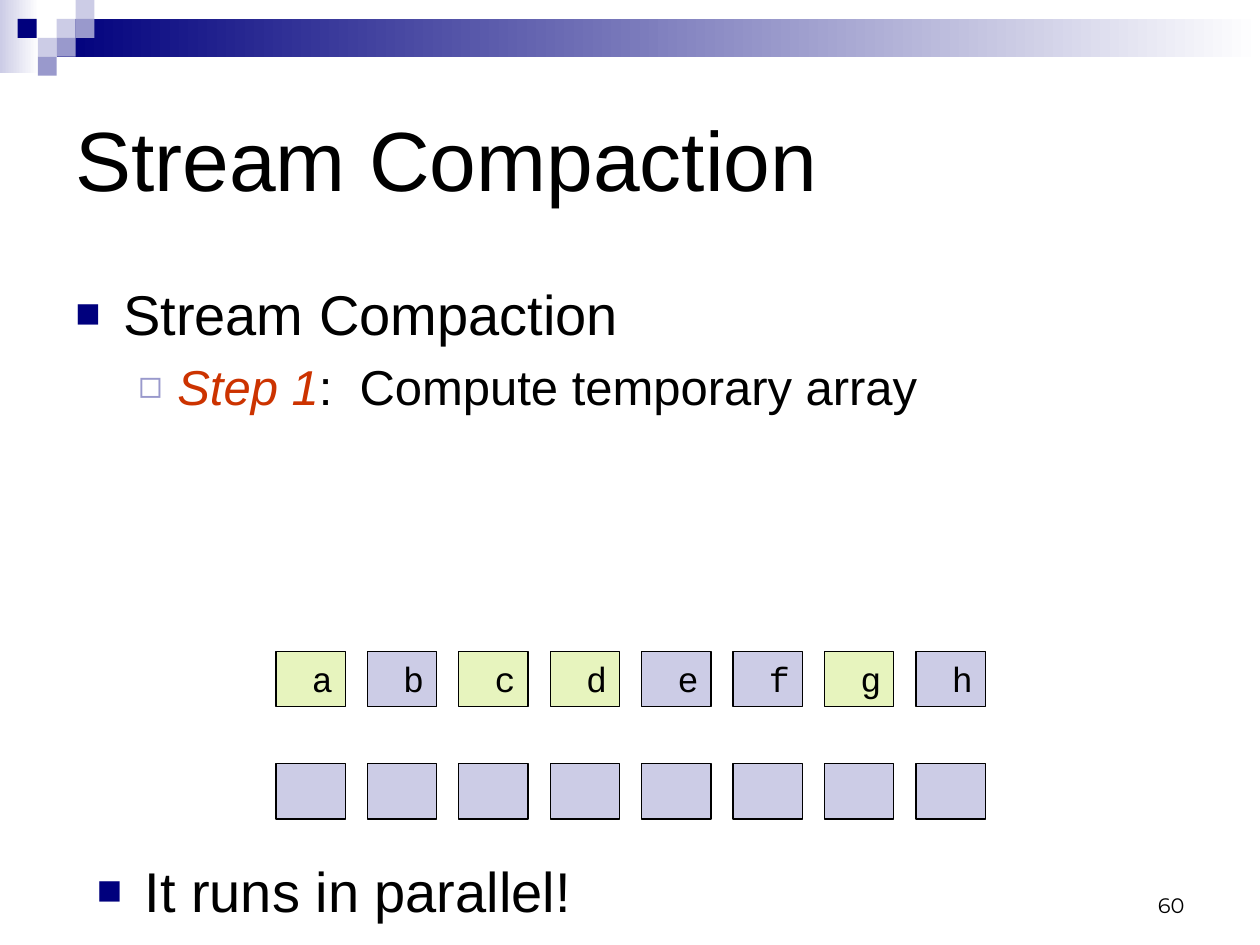
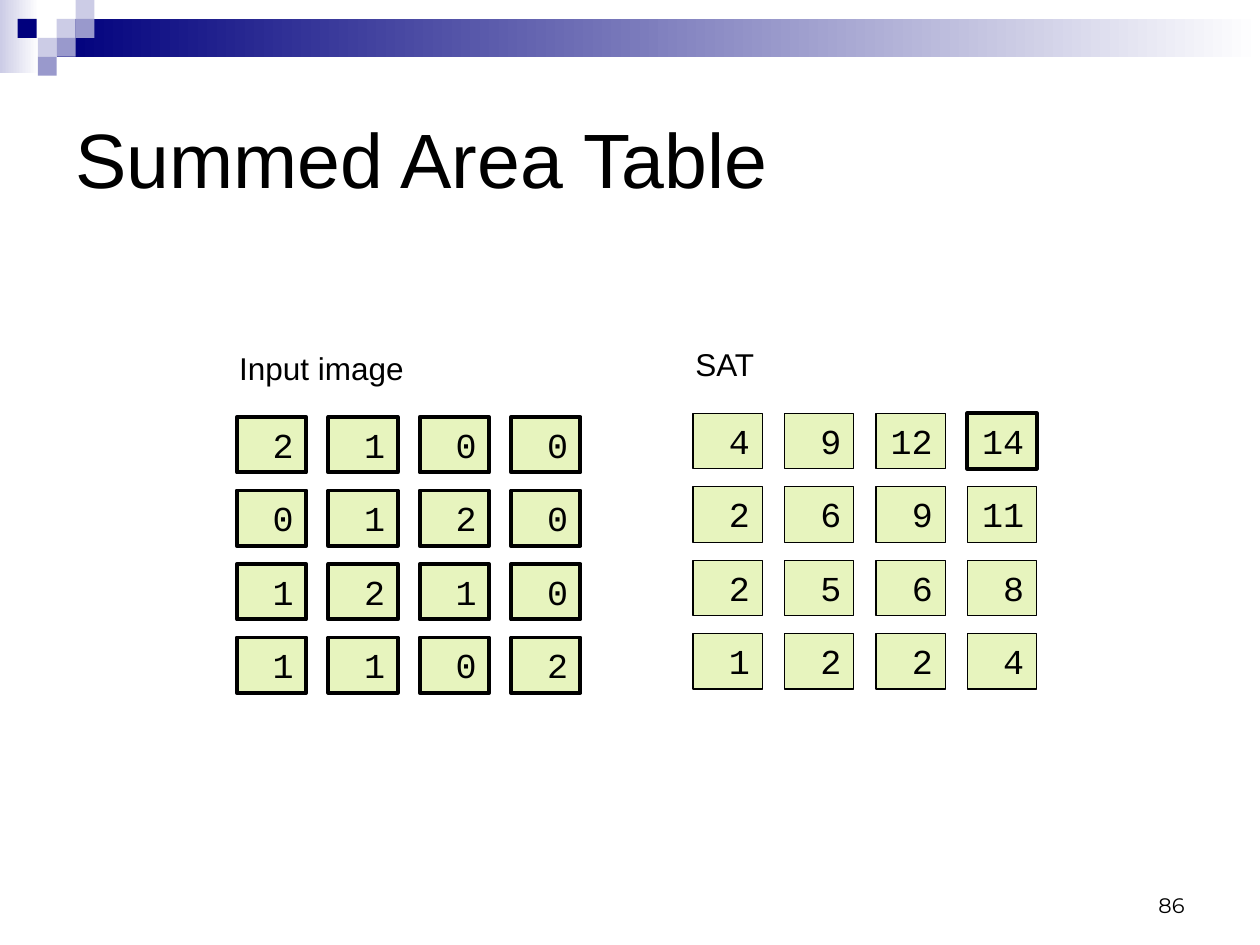
from lxml import etree
from pptx import Presentation
from pptx import util as u
from pptx.dml.color import RGBColor
from pptx.enum import shapes, text
from pptx.oxml.ns import qn

BLACK, WHITE, NAVY = "000000", "FFFFFF", "00007D"
LAVENDER, PERIWINKLE = "CCCCE6", "9999CC"
LIME, RED = "E7F4BE", "CC3300"
BODY_FONT, CODE_FONT, NUMBER_FONT = "Arial", "Courier New", "Montserrat"

CELL_WIDTH, CELL_HEIGHT = 0.55, 0.44
COLUMN_PITCH, ROW_PITCH = 5.08 / 7, 1.75 / 3
THIN, THICK = 0.75, 2.25

# Corner mosaic: left, top, colour
TILE = 0.15
MOSAIC = [
    (0.45, 0.15, LAVENDER), (0.6, 0, LAVENDER), (0.6, 0.15, PERIWINKLE),
    (0.3, 0.3, LAVENDER), (0.14, 0.15, NAVY), (0.45, 0.3, PERIWINKLE),
    (0.3, 0.45, PERIWINKLE),
]

# Bullet levels: mark, colour, size %, left indent, hanging, text size
BULLETS = [("■", NAVY, 75, 0.38, 0.38, 32), ("◻", PERIWINKLE, 80, 0.81, 0.31, 28)]


def rgb(hex_color):
    return RGBColor.from_string(hex_color)


class Deck:
    def __init__(self):
        self.prs = Presentation()
        self.prs.slide_width, self.prs.slide_height = u.Inches(10), u.Inches(7.5)
        self.slide = None

    def new_slide(self, title, number, title_size):
        self.slide = self.prs.slides.add_slide(self.prs.slide_layouts[6])
        # Header band and mosaic
        self.gradient(0, 0, 0.31, 0.58, LAVENDER)
        self.gradient(0.45, 0.15, 9.55, 0.3, NAVY)
        for left, top, color in MOSAIC:
            self.rect(left, top, TILE, TILE, color)
        # Title and slide number
        self.label(title, 0.5, 0.5, 9, 1.5, title_size, anchor=text.MSO_ANCHOR.MIDDLE)
        self.label(number, 7.17, 6.83, 2.33, 0.5, 12, NUMBER_FONT,
                   text.MSO_ANCHOR.BOTTOM, text.PP_ALIGN.RIGHT)

    def style(self, font, size, name=BODY_FONT, color=BLACK):
        font.size, font.name = u.Pt(size), name
        font.color.rgb = rgb(color)

    def rect(self, left, top, width, height, color, line=None):
        box = self.slide.shapes.add_shape(
            shapes.MSO_SHAPE.RECTANGLE,
            u.Inches(left), u.Inches(top), u.Inches(width), u.Inches(height))
        box.shadow.inherit = False
        box.fill.solid()
        box.fill.fore_color.rgb = rgb(color)
        if line:
            box.line.color.rgb = rgb(BLACK)
            box.line.width = u.Pt(line)
        else:
            box.line.fill.background()
        return box

    def gradient(self, left, top, width, height, start):
        fill = self.rect(left, top, width, height, start).fill
        fill.gradient()
        fill.gradient_angle = 0
        for stop, position, color in zip(fill.gradient_stops, (0, 1), (start, WHITE)):
            stop.position = position
            stop.color.rgb = rgb(color)

    def frame(self, left, top, width, height):
        box = self.slide.shapes.add_textbox(
            u.Inches(left), u.Inches(top), u.Inches(width), u.Inches(height))
        box.text_frame.word_wrap = True
        return box.text_frame

    def label(self, words, left, top, width, height, size, font=BODY_FONT,
              anchor=text.MSO_ANCHOR.TOP, align=text.PP_ALIGN.LEFT):
        frame = self.frame(left, top, width, height)
        frame.vertical_anchor = anchor
        paragraph = frame.paragraphs[0]
        paragraph.text, paragraph.alignment = words, align
        self.style(paragraph.font, size, font)

    def bullets(self, left, top, width, height, items):
        """Each item is a level and its (words, accented) runs."""
        frame = self.frame(left, top, width, height)
        for index, (level, runs) in enumerate(items):
            paragraph = frame.add_paragraph() if index else frame.paragraphs[0]
            mark, color, percent, indent, hanging, size = BULLETS[level]
            paragraph.level = level
            paragraph.space_before = u.Pt(size * 0.2)
            self.style(paragraph.font, size)
            for words, accented in runs:
                run = paragraph.add_run()
                run.text = words
                if accented:
                    run.font.italic = True
                    run.font.color.rgb = rgb(RED)
            # Bullet mark, placed ahead of the default run properties
            props = paragraph._p.get_or_add_pPr()
            props.set("marL", str(u.Inches(indent)))
            props.set("indent", str(-u.Inches(hanging)))
            defaults = props.find(qn("a:defRPr"))
            parts = [("buClr", {}), ("buSzPct", {"val": str(percent * 1000)}),
                     ("buFont", {"typeface": BODY_FONT}), ("buChar", {"char": mark})]
            for tag, attributes in parts:
                part = etree.Element(qn("a:" + tag), attributes)
                if tag == "buClr":
                    etree.SubElement(part, qn("a:srgbClr"), val=color)
                defaults.addprevious(part)

    def cell(self, left, top, value, color, line):
        box = self.rect(left, top, CELL_WIDTH, CELL_HEIGHT, color, line)
        if value == "":
            return
        frame = box.text_frame
        frame.margin_left = 0
        frame.vertical_anchor = text.MSO_ANCHOR.TOP
        paragraph = frame.paragraphs[0]
        paragraph.text, paragraph.alignment = str(value), text.PP_ALIGN.RIGHT
        self.style(paragraph.font, 20, CODE_FONT)

    def grid(self, left, top, rows, color=lambda value: LIME, line=lambda value: THIN):
        for r, row in enumerate(rows):
            for c, value in enumerate(row):
                self.cell(left + c * COLUMN_PITCH, top + r * ROW_PITCH,
                          value, color(value), line(value))


def stream_compaction(deck):
    deck.new_slide("Stream Compaction", "60", 48)
    deck.bullets(0.5, 2.17, 9.33, 4.25, [
        (0, [("Stream Compaction", False)]),
        (1, [("Step 1", True), (":  Compute temporary array", False)]),
    ])
    # Input elements, the kept ones in lime, above the empty temporary array
    kept = "acdg"
    deck.grid(2.19, 5.17, ["abcdefgh"],
              color=lambda value: LIME if value in kept else LAVENDER)
    deck.grid(2.19, 6.06, [[""] * 8], color=lambda value: LAVENDER)
    deck.bullets(0.67, 6.75, 9, 0.83, [(0, [("It runs in parallel!", False)])])


def summed_area_table(deck):
    deck.new_slide("Summed Area Table", "86", 44)
    input_image = [[2, 1, 0, 0], [0, 1, 2, 0], [1, 2, 1, 0], [1, 1, 0, 2]]
    sums = [[4, 9, 12, 14], [2, 6, 9, 11], [2, 5, 6, 8], [1, 2, 2, 4]]
    total = sums[0][-1]
    deck.label("Input image", 1.8, 2.72, 1.52, 0.4, 18)
    deck.grid(1.88, 3.31, input_image, line=lambda value: THICK)
    deck.label("SAT", 5.42, 2.69, 0.8, 0.4, 18)
    deck.grid(5.5, 3.28, sums, line=lambda value: THICK if value == total else THIN)


def main():
    deck = Deck()
    stream_compaction(deck)
    summed_area_table(deck)
    deck.prs.save("out.pptx")


if __name__ == "__main__":
    main()
